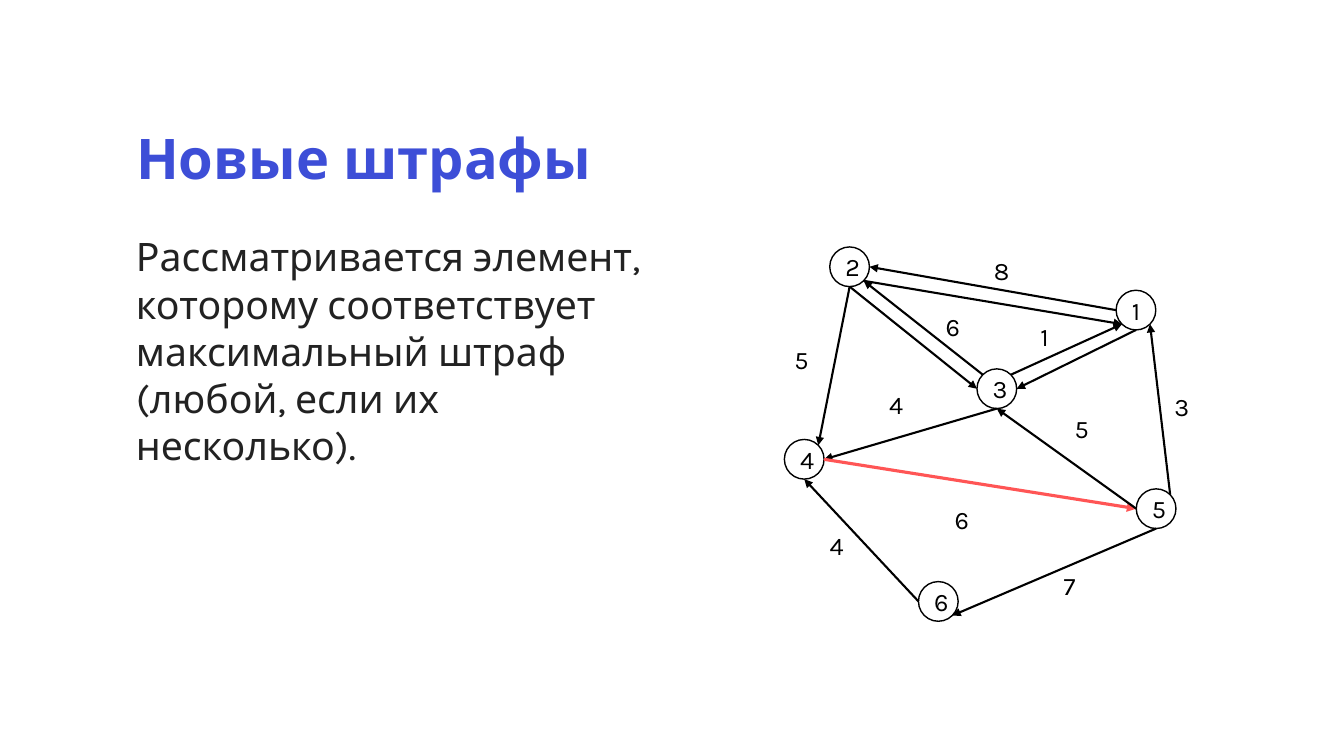
import math
from dataclasses import dataclass

from lxml import etree
from pptx import Presentation
from pptx.dml.color import RGBColor
from pptx.enum import shapes, text
from pptx.oxml import ns
from pptx.util import Inches, Pt

FONT = "Karla"
BLACK, WHITE, RED = "000000", "FFFFFF", "FF5555"
BLUE, GREY = "3D4ED7", "222222"
DIAMETER = 1 / 2.54  # one centimetre

# Directions around a node, in degrees clockwise from the right
RIGHT, BOTTOM_RIGHT, BOTTOM, BOTTOM_LEFT = 0, 45, 90, 135
LEFT, TOP_LEFT, TOP_RIGHT = 180, 225, 315


@dataclass
class Node:
    left: float
    top: float

    def point(self, angle: float) -> tuple[float, float]:
        """Point on the circle in the given direction."""
        a, radius = math.radians(angle), DIAMETER / 2
        return (self.left + radius * (1 + math.cos(a)),
                self.top + radius * (1 + math.sin(a)))


@dataclass
class Edge:
    start: int
    start_side: int
    end: int
    end_side: int
    color: str = BLACK
    width: float = 1.5


@dataclass
class Weight:
    value: int
    left: float
    top: float
    width: float = 0.59


NODES = {
    1: Node(11.07, 2.88),
    2: Node(8.23, 2.45),
    3: Node(9.69, 3.66),
    4: Node(7.78, 4.36),
    5: Node(11.27, 4.85),
    6: Node(9.11, 5.77),
}
EDGES = [
    Edge(1, LEFT, 2, RIGHT),
    Edge(2, BOTTOM_RIGHT, 1, BOTTOM_LEFT),
    Edge(3, TOP_RIGHT, 1, BOTTOM_LEFT),
    Edge(1, BOTTOM, 3, RIGHT),
    Edge(3, TOP_LEFT, 2, BOTTOM_RIGHT),
    Edge(2, BOTTOM, 3, LEFT),
    Edge(2, BOTTOM, 4, TOP_RIGHT),
    Edge(3, BOTTOM, 4, RIGHT),
    Edge(4, RIGHT, 5, LEFT, RED, 2.25),
    Edge(5, LEFT, 3, BOTTOM),
    Edge(5, TOP_RIGHT, 1, BOTTOM_RIGHT),
    Edge(5, BOTTOM, 6, BOTTOM_RIGHT),
    Edge(6, LEFT, 4, BOTTOM),
]
WEIGHTS = [
    Weight(5, 7.78, 3.37, 0.33),
    Weight(6, 9.28, 3.04, 0.34),
    Weight(4, 8.72, 3.81),
    Weight(8, 9.76, 2.48, 0.44),
    Weight(1, 10.22, 3.14, 0.44),
    Weight(5, 10.56, 4.05),
    Weight(6, 9.37, 4.95),
    Weight(4, 8.13, 5.21),
    Weight(7, 10.45, 5.61),
    Weight(3, 11.55, 3.83),
]


def rgb(color: str) -> RGBColor:
    return RGBColor.from_string(color)


def write(tf, content: str, size: float, color: str = BLACK):
    """Fill a text frame with one formatted paragraph."""
    p = tf.paragraphs[0]
    p.font.name = FONT
    p.font.size = Pt(size)
    r = p.add_run()
    r.text = content
    # The run colour overrides the white text of the shape style
    r.font.color.rgb = rgb(color)
    return p


def add_text(s, content: str, box: tuple, size: float, color: str = BLACK) -> None:
    tf = s.shapes.add_textbox(*map(Inches, box)).text_frame
    tf.word_wrap = True
    write(tf, content, size, color)


def add_node(s, number: int, node: Node) -> None:
    sp = s.shapes.add_shape(shapes.MSO_SHAPE.OVAL, Inches(node.left), Inches(node.top),
                            Inches(DIAMETER), Inches(DIAMETER))
    sp.shadow.inherit = False
    sp.fill.solid()
    sp.fill.fore_color.rgb = rgb(WHITE)
    sp.line.color.rgb = rgb(BLACK)
    sp.line.width = Pt(1)
    write(sp.text_frame, str(number), 18).alignment = text.PP_ALIGN.CENTER


def add_edge(s, edge: Edge) -> None:
    start = NODES[edge.start].point(edge.start_side)
    end = NODES[edge.end].point(edge.end_side)
    line = s.shapes.add_connector(shapes.MSO_CONNECTOR.STRAIGHT,
                                  *map(Inches, start + end))
    line.line.color.rgb = rgb(edge.color)
    line.line.width = Pt(edge.width)
    etree.SubElement(line.line._get_or_add_ln(), ns.qn("a:tailEnd"), type="triangle")
    etree.SubElement(line._element.spPr, ns.qn("a:effectLst"))


def main() -> None:
    prs = Presentation()
    prs.slide_width, prs.slide_height = Inches(13.33), Inches(7.5)
    s = prs.slides.add_slide(prs.slide_layouts[5])

    # Title
    title = s.shapes.title
    title.left, title.top = Inches(1.25), Inches(1.25)
    title.width, title.height = Inches(10.85), Inches(0.77)
    tf = title.text_frame
    tf.auto_size = text.MSO_AUTO_SIZE.NONE
    tf.vertical_anchor = text.MSO_ANCHOR.TOP
    p = write(tf, "Новые штрафы", 40, BLUE)
    p.font.bold = True
    p.alignment = text.PP_ALIGN.LEFT
    p.line_spacing = 0.9

    # Explanation
    add_text(s, "Рассматривается элемент, которому соответствует максимальный штраф "
                "(любой, если их несколько).", (1.25, 2.26, 5.42, 1.99), 28, GREY)

    # Graph
    for number, node in NODES.items():
        add_node(s, number, node)
    for edge in EDGES:
        add_edge(s, edge)
    for weight in WEIGHTS:
        add_text(s, str(weight.value), (weight.left, weight.top, weight.width, 0.4), 18)

    prs.save("out.pptx")


if __name__ == "__main__":
    main()
